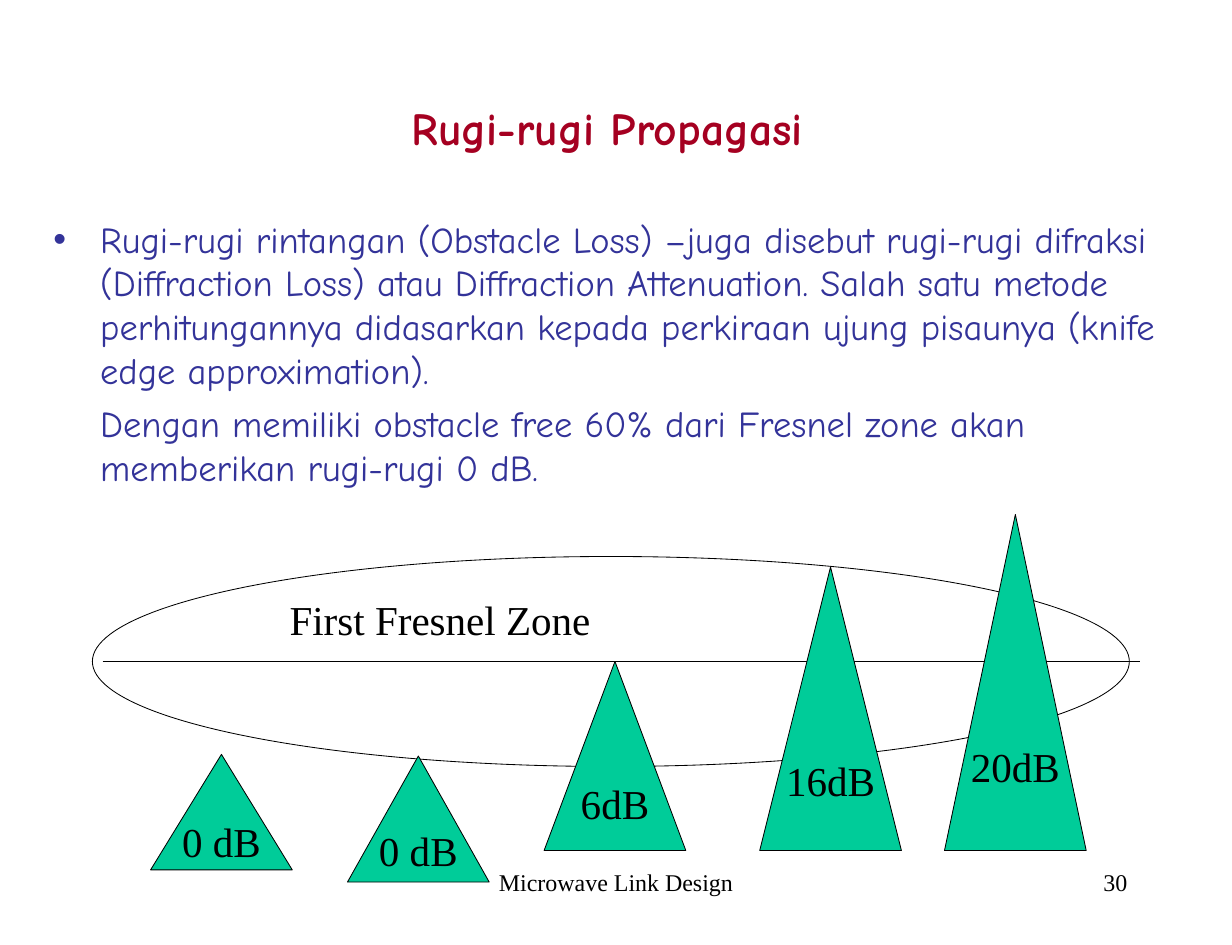
from lxml import etree
from pptx import Presentation
from pptx import util as u
from pptx.dml.color import RGBColor
from pptx.enum import shapes, text
from pptx.oxml.ns import qn

COLS, ROWS = 120, 90
SERIF, COMIC = "Times New Roman", "Comic Neue"
LEFT, CENTER, RIGHT = text.PP_ALIGN.LEFT, text.PP_ALIGN.CENTER, text.PP_ALIGN.RIGHT
TOP, MIDDLE = text.MSO_ANCHOR.TOP, text.MSO_ANCHOR.MIDDLE


def rgb(value):
    return RGBColor.from_string(value)


def add_run(p, content, size=36, font=SERIF, color="000000", bold=False):
    r = p.add_run()
    r.text = content
    r.font.size = u.Pt(size)
    r.font.name = font
    r.font.bold = bold
    r.font.color.rgb = rgb(color)


def set_indent(p, indent, bullet=None, color="000000"):
    pPr = p._p.get_or_add_pPr()
    pPr.set("marL", str(u.Inches(indent)))
    pPr.set("indent", str(-u.Inches(indent) if bullet else 0))
    if bullet:
        clr = etree.SubElement(pPr, qn("a:buClr"))
        etree.SubElement(clr, qn("a:srgbClr")).set("val", color)
        etree.SubElement(pPr, qn("a:buFont")).set("typeface", "Arial")
        etree.SubElement(pPr, qn("a:buChar")).set("char", bullet)


class Deck:
    ink, peak = "000000", "00CC99"

    def __init__(self):
        self.prs = Presentation()
        self.prs.slide_width, self.prs.slide_height = u.Inches(15), u.Inches(11.5)
        self.s = self.prs.slides.add_slide(self.prs.slide_layouts[6])

    def x(self, col):
        return round(self.prs.slide_width * col / COLS)

    def y(self, row):
        return round(self.prs.slide_height * row / ROWS)

    def place(self, col, row, width, height):
        return self.x(col), self.y(row), self.x(width), self.y(height)

    def frame(self, sp, anchor=TOP, wrap=True):
        tf = sp.text_frame
        tf.margin_left = tf.margin_right = u.Inches(0.15)
        tf.margin_top = tf.margin_bottom = u.Inches(0.08)
        tf.vertical_anchor, tf.word_wrap = anchor, wrap
        return tf

    def text(self, content, *box, align=LEFT, anchor=TOP, wrap=True, **style):
        tf = self.frame(self.s.shapes.add_textbox(*self.place(*box)), anchor, wrap)
        p = tf.paragraphs[0]
        p.alignment = align
        add_run(p, content, **style)
        return p

    def body(self, items, *box, color):
        tf = self.frame(self.s.shapes.add_textbox(*self.place(*box)))
        for i, (content, bullet) in enumerate(items):
            p = tf.add_paragraph() if i else tf.paragraphs[0]
            set_indent(p, 0.57, bullet, color)
            if i:
                p.space_before = u.Pt(8)
            add_run(p, content, size=32, font=COMIC, color=color)

    def shape(self, kind, *box, fill):
        sp = self.s.shapes.add_shape(kind, *self.place(*box))
        sp.shadow.inherit = False
        sp.fill.solid()
        sp.fill.fore_color.rgb = rgb(fill)
        sp.line.color.rgb = rgb(self.ink)
        sp.line.width = u.Pt(0.75)
        return sp

    def obstacle(self, label, col, top, bottom):
        sp = self.shape(shapes.MSO_SHAPE.ISOSCELES_TRIANGLE,
                        col, top, 13.8, bottom - top, fill=self.peak)
        p = self.frame(sp, MIDDLE, wrap=False).paragraphs[0]
        p.alignment = CENTER
        add_run(p, label)

    def zone(self, *box):
        self.shape(shapes.MSO_SHAPE.OVAL, *box, fill="FFFFFF")

    def line(self, start, end, row):
        c = self.s.shapes.add_connector(shapes.MSO_CONNECTOR.STRAIGHT, self.x(start),
                                        self.y(row), self.x(end), self.y(row))
        c.line.color.rgb = rgb(self.ink)
        c.line.width = u.Pt(0.75)
        etree.SubElement(c._element.spPr, qn("a:effectLst"))


def main():
    d = Deck()
    d.text("Microwave Link Design", 41, 82, 38, 6, align=CENTER, size=21)
    d.text("30", 86, 82, 25, 6, align=RIGHT, size=21)
    title = d.text("Rugi-rugi Propagasi", 9, 4, 102, 15, align=CENTER, anchor=MIDDLE,
                   size=40, font=COMIC, color="A50021", bold=True)
    add_run(title, " ", size=55, font="Arial", color="FF0000")
    d.body([
        ("Rugi-rugi rintangan (Obstacle Loss) –juga disebut rugi-rugi difraksi "
         "(Diffraction Loss) atau Diffraction Attenuation. Salah satu metode "
         "perhitungannya didasarkan kepada perkiraan ujung pisaunya "
         "(knife edge approximation).", "•"),
        ("Dengan memiliki obstacle free 60% dari Fresnel zone akan "
         "memberikan rugi-rugi 0 dB.", None),
    ], 4, 20, 116, 60, color="333399")

    d.obstacle("0 dB", 14.67, 71.85, 82.85)
    d.zone(9, 53, 101, 20)
    d.line(10, 111, 63)
    for label, col, top, bottom in [("20dB", 92, 49, 81), ("16dB", 74, 54, 81),
                                    ("6dB", 53, 63, 81), ("0 dB", 33.85, 72, 84)]:
        d.obstacle(label, col, top, bottom)
    d.text("First Fresnel Zone", 27, 56, 31.8, 5.9, wrap=False)
    d.prs.save("out.pptx")


if __name__ == "__main__":
    main()
